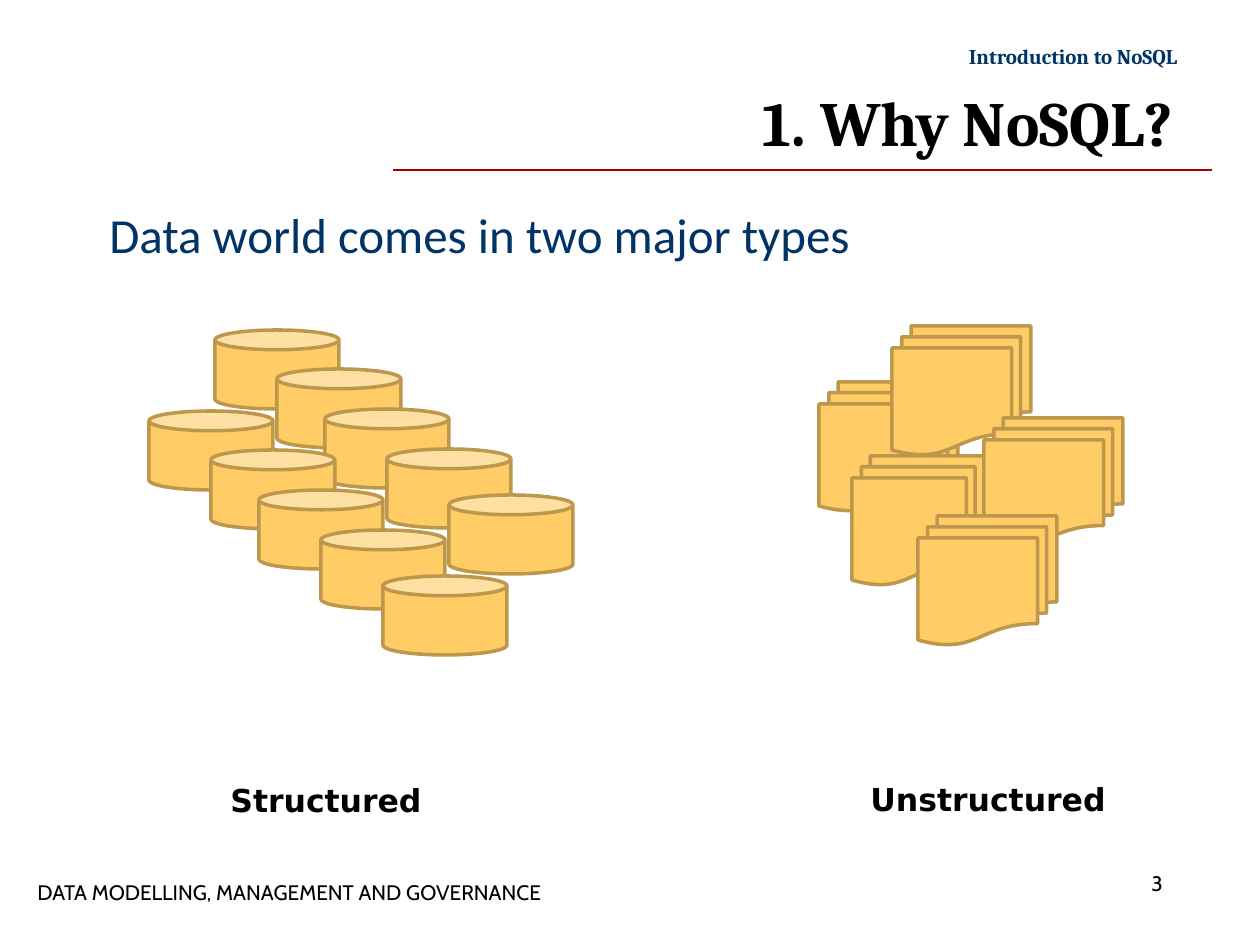
from pptx import Presentation
from pptx.dml.color import RGBColor
from pptx.enum.shapes import MSO_CONNECTOR, MSO_SHAPE
from pptx.enum.text import MSO_ANCHOR, PP_ALIGN
from pptx.oxml.ns import qn
from pptx.util import Emu, Pt

PX = 914400 // 126
LEFT, RIGHT = PP_ALIGN.LEFT, PP_ALIGN.RIGHT
TOP, MIDDLE = MSO_ANCHOR.TOP, MSO_ANCHOR.MIDDLE
CAN, DOCS = MSO_SHAPE.CAN, MSO_SHAPE.FLOWCHART_MULTIDOCUMENT
STRAIGHT = MSO_CONNECTOR.STRAIGHT

BLACK = RGBColor(0x00, 0x00, 0x00)
NAVY = RGBColor(0x00, 0x33, 0x66)
RED = RGBColor(0xA8, 0x00, 0x00)
GOLD = RGBColor(0xFF, 0xCC, 0x66)
BROWN = RGBColor(0xBD, 0x97, 0x4B)

prs = Presentation()
prs.slide_width = Emu(1260 * PX)
prs.slide_height = Emu(945 * PX)
slide = prs.slides.add_slide(prs.slide_layouts[6])


def add_text(text, box, font, size, color=BLACK, bold=False,
             align=LEFT, anchor=TOP, wrap=True):
    frame = slide.shapes.add_textbox(*[v * PX for v in box]).text_frame
    frame.word_wrap = wrap
    frame.vertical_anchor = anchor
    frame.text = text
    para = frame.paragraphs[0]
    para.alignment = align
    run = para.runs[0].font
    run.name, run.size, run.bold = font, Pt(size), bold
    run.color.rgb = color


def add_stack(kind, items):
    group = slide.shapes.add_group_shape()
    for box in items:
        shape = group.shapes.add_shape(kind, *[v * PX for v in box])
        shape.shadow.inherit = False
        shape.fill.solid()
        shape.fill.fore_color.rgb = GOLD
        shape.line.color.rgb = BROWN
        shape.line.width = Pt(2)


# Header rule
rule = slide.shapes.add_connector(STRAIGHT, 393 * PX, 170 * PX, 1212 * PX, 170 * PX)
rule.line.color.rgb = RED
rule.line.width = Pt(0.75)
props = rule._element.spPr
props.append(props.makeelement(qn("a:effectLst"), {}))

# Header, footer and page number
add_text("Introduction to NoSQL", (948, 37, 242, 38), "Cambria", 12, NAVY,
         bold=True, align=RIGHT, wrap=False)
add_text("DATA MODELLING, MANAGEMENT AND GOVERNANCE", (25, 873, 556, 38),
         "Cabin", 12)
add_text("3", (1139, 864, 100, 38), "Cabin", 12)

# Title and statement
add_text("1. Why NoSQL? ", (233, 74, 966, 95), "Cambria", 36,
         bold=True, align=RIGHT, anchor=MIDDLE)
add_text("Data world comes in two major types", (97, 198, 966, 645),
         "Calibri", 28, NAVY)

# Structured data: two equal diagonal rows of cans
steps = [(0, 0), (62, 39), (110, 79), (172, 119), (234, 165)]
for x, y in [(215, 330), (149, 411)]:
    add_stack(CAN, [(x + dx, y + dy, 124, 79) for dx, dy in steps])

# Unstructured data: a loose pile of documents
pile = [(819, 382, 139), (892, 326, 139), (852, 456, 133),
        (984, 418, 139), (918, 516, 139)]
add_stack(DOCS, [(x, y, w, 129) for x, y, w in pile])

# Captions
add_text("Structured", (218, 775, 252, 50), "DejaVu Sans", 18, bold=True)
add_text("Unstructured", (858, 774, 270, 50), "DejaVu Sans", 18, bold=True)

prs.save("out.pptx")
